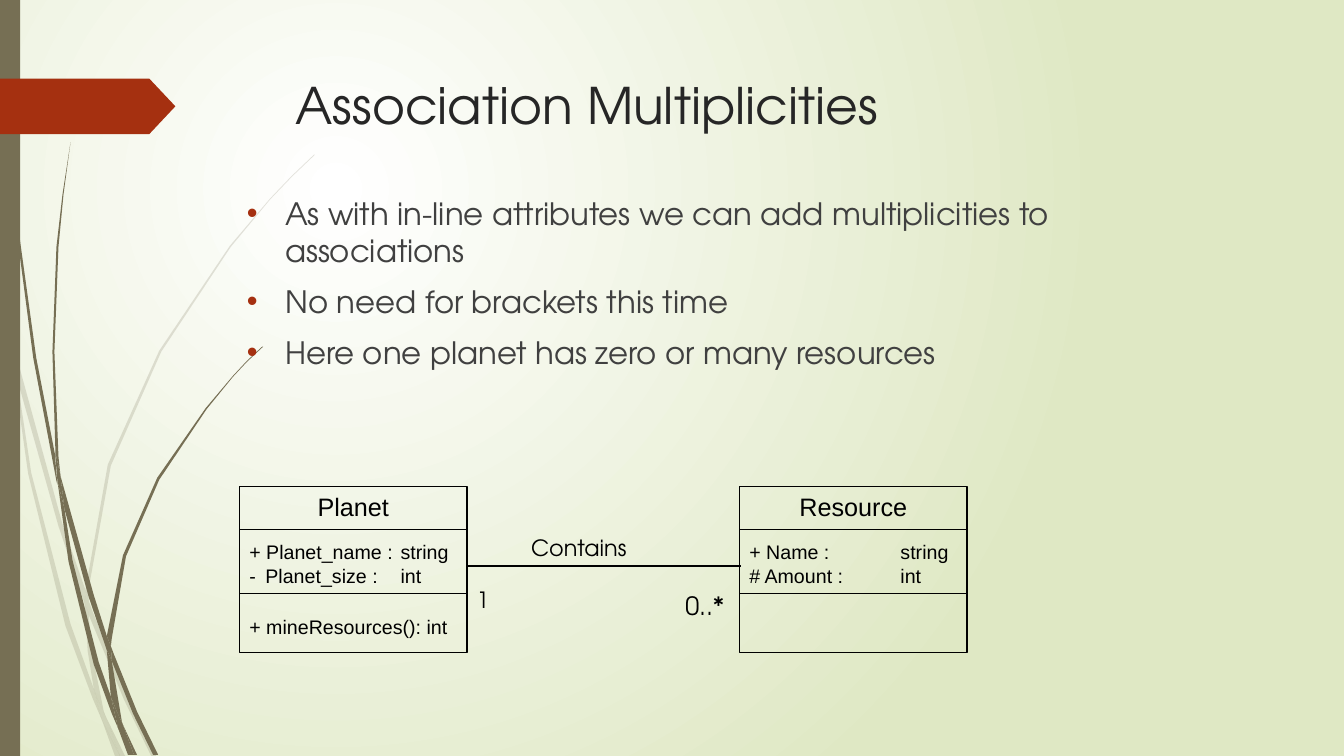
import dataclasses

import pptx
import pptx.dml.color
import pptx.enum.shapes
import pptx.enum.text
import pptx.oxml
import pptx.oxml.ns
import pptx.util

COLS, ROWS = 133.33, 75  # grid of square cells, a tenth of an inch each
SANS, GEO = "Arial", "TeX Gyre Adventor"
OLIVE, RUST, BLACK = "766F54", "A53010", "000000"
KIND = pptx.enum.shapes.MSO_SHAPE
LEFT = pptx.enum.text.PP_ALIGN.LEFT
MID = pptx.enum.text.PP_ALIGN.CENTER
NS = pptx.oxml.ns.nsdecls("a")


@dataclasses.dataclass
class Box:
    """An area in grid columns and rows."""
    x: float
    y: float
    w: float
    h: float


@dataclasses.dataclass
class Entity:
    """A class in the diagram; span is the width of its name."""
    name: str
    x: float
    span: float
    fields: list[str]
    methods: list[str]


@dataclasses.dataclass
class Label:
    text: str
    box: Box
    size: int


# Pieces of grass, each a closed outline of column, row, column, row ...
FAINT = [
    (1.1, 35, .9, 32.2, 0, 28.2, 0, 29.9, 1, 34.4),
    (5.8, 52.2, 8.4, 59.9, 8.5, 58.6, 6.2, 52, 1.4, 34.5, 1.7, 37.6),
    (9.2, 60.7, 8.8, 59.6, 8.8, 61, 12.3, 69.4, 15, 75, 15.5, 75, 12.7, 69.2),
    (11.9, 75, 12.4, 75, 10.5, 71.1),
    (9.3, 68.3, 7, 61.9, 3.1, 46.9, 1.7, 37.6, 1.1, 35, 2.8, 47, 6.5, 62.1, 9.2, 69.3,
     10.1, 71.4, 9.9, 70.7),
    (8.4, 59.9, 8.7, 64.6, 9.3, 68.3, 9.6, 69.2, 10.5, 71.1, 10.3, 70.6, 9.1, 64.6,
     8.8, 61, 8.8, 60.8),
    (8.8, 58.4, 11, 46.2, 16, 34.9, 22.9, 24.5, 26.8, 19.8, 29, 17.5, 31.2, 15.4, 31.2, 15.3,
     28.9, 17.5, 26.8, 19.7, 22.8, 24.4, 15.8, 34.8, 10.7, 46.1, 8.5, 58.4, 8.5, 58.6, 8.8, 59.6),
    (10.1, 71.4, 11.4, 75, 11.9, 75),
    (8.8, 60.8, 8.8, 61, 8.8, 59.6, 8.5, 58.6, 8.4, 59.9),
    (9.6, 69.2, 9.3, 68.3, 9.9, 70.7, 10.1, 71.4, 11.9, 75, 10.5, 71.1),
]
SOLID = [
    (.7, 11, 1.7, 23.3, 3.3, 35.5, 5.6, 47.7, 5.7, 48.1, 5.5, 45.7, 5.5, 45.3, 3.6, 35.5,
     1.9, 23.2, .8, 10.9, .5, 4.8, .4, 0, .3, 0, .4, 4.8),
    (8.8, 59.2, 10.6, 64.5, 10.6, 63.1, 9.3, 59, 6, 47.2, 6.4, 50.5),
    (11.3, 64.9, 11, 64.1, 11.1, 65.6, 13.2, 70.8, 15.2, 74.9, 15.7, 74.9, 13.6, 70.6),
    (11, 69.1, 9.8, 65.7, 7.2, 55.6, 6.4, 50.5, 5.7, 47.7, 6.8, 55.7, 9.3, 65.9, 11.1, 70.8,
     11.7, 72.2, 11.6, 71.7),
    (6, 47.2, 5.8, 45.3, 5.4, 34.9, 5.8, 24.5, 6.3, 19.3, 7, 14.1, 6.2, 19.3, 5.6, 24.5,
     5.2, 34.9, 5.5, 44.9),
    (13.3, 74.9, 13.6, 74.9, 12.2, 71.9),
    (5.7, 47.7, 6.4, 50.5, 6, 47.2, 5.5, 44.9, 5.5, 45.3),
    (11.1, 63.3, 12.5, 55.2, 15.8, 47.6, 20.5, 40.6, 23.1, 37.4, 24.5, 35.9, 26.1, 34.4,
     26, 34.4, 24.5, 35.8, 23.1, 37.3, 20.4, 40.5, 15.6, 47.4, 12.2, 55.1, 10.6, 63.1, 11, 64.1),
    (11.7, 72.2, 12.7, 74.9, 13.1, 74.9),
    (10.6, 64.5, 11, 69.1, 11.6, 70.6, 12.2, 71.9, 12.1, 71.6, 11.1, 65.6, 10.9, 65.1),
    (10.6, 64.5, 10.9, 65.1, 11.1, 65.6, 11, 64.1, 10.6, 63.1, 10.6, 63.3),
    (11.6, 70.6, 11, 69.1, 11.6, 71.7, 11.7, 72.2, 13, 74.9, 13.3, 74.9, 12.2, 71.9),
]
POINTS = [
    "As with in-line attributes we can add multiplicities to associations",
    "No need for brackets this time",
    "Here one planet has zero or many resources",
]
ENTITIES = [
    Entity("Planet", 23.75, 9.2, ["+ Planet_name :\tstring", "-\tPlanet_size :\tint"],
           ["+ mineResources(): int"]),
    Entity("Resource", 73.35, 12.8, ["+ Name :\t \tstring", "# Amount :\t\tint"], []),
]
LABELS = [
    Label("Contains", Box(51.7, 52.5, 13.8, 3.7), 16),
    Label("1", Box(46.3, 57.7, 3.2, 3.7), 16),
    Label("0..*", Box(67, 58.1, 6.5, 4), 18),
]


def cells(count: float) -> int:
    return pptx.util.Inches(count / 10)


def area(box: Box) -> tuple[int, ...]:
    return tuple(cells(side) for side in dataclasses.astuple(box))


def hue(code: str) -> pptx.dml.color.RGBColor:
    return pptx.dml.color.RGBColor.from_string(code)


def paint(shape, code: str, alpha: int = 100) -> None:
    """Flat fill without outline or shadow."""
    shape.shadow.inherit = False
    shape.fill.solid()
    shape.fill.fore_color.rgb = hue(code)
    shape.line.fill.background()
    if alpha < 100:
        tone = next(shape.element.spPr.iter(pptx.oxml.ns.qn("a:srgbClr")))
        tone.append(pptx.oxml.parse_xml(f'<a:alpha {NS} val="{alpha * 1000}"/>'))


def write(slide, box: Box, lines: list[str], *, size: int, font: str = GEO, color: str = BLACK,
          align=LEFT, bullet: str = "", gap: float = 0, tabs: tuple[float, ...] = (),
          wrap: bool = True) -> None:
    frame = slide.shapes.add_textbox(*area(box)).text_frame
    frame.word_wrap = wrap
    for nth, line in enumerate(lines):
        para = frame.add_paragraph() if nth else frame.paragraphs[0]
        para.text = line
        para.alignment = align
        if nth and gap:
            para.space_before = pptx.util.Pt(gap)
        props = para._p.get_or_add_pPr()
        if bullet:
            props.set("marL", str(cells(3.8)))
            props.set("indent", str(-cells(3.8)))
            for part in (f'<a:buClr {NS}><a:srgbClr val="{RUST}"/></a:buClr>',
                         f'<a:buFont {NS} typeface="{SANS}"/>',
                         f'<a:buChar {NS} char="{bullet}"/>'):
                props.append(pptx.oxml.parse_xml(part))
        if tabs:
            stops = "".join(f'<a:tab pos="{cells(tab)}" algn="l"/>' for tab in tabs)
            props.append(pptx.oxml.parse_xml(f"<a:tabLst {NS}>{stops}</a:tabLst>"))
        for run in para.runs:
            run.font.size = pptx.util.Pt(size)
            run.font.name = font
            run.font.color.rgb = hue(color)


def rule(slide, left: float, right: float, row: float, width: float) -> None:
    line = slide.shapes.add_connector(pptx.enum.shapes.MSO_CONNECTOR.STRAIGHT, cells(left),
                                      cells(row), cells(right), cells(row))
    line.line.color.rgb = hue(BLACK)
    line.line.width = pptx.util.Pt(width)
    line._element.spPr.append(pptx.oxml.parse_xml(f"<a:effectLst {NS}/>"))


def grow(slide, piece: tuple[float, ...], alpha: int) -> None:
    edge = [(cells(x), cells(y)) for x, y in zip(piece[::2], piece[1::2])]
    pen = slide.shapes.build_freeform(*edge[0])
    pen.add_line_segments(edge[1:], close=True)
    paint(pen.convert_to_shape(), OLIVE, alpha)


def model(slide, item: Entity) -> None:
    top, wide = 48.25, 22.6
    frame = slide.shapes.add_shape(KIND.RECTANGLE, *area(Box(item.x, top, wide, 16.5)))
    frame.shadow.inherit = False
    frame.fill.background()
    frame.line.color.rgb = hue(BLACK)
    frame.line.width = pptx.util.Pt(1)
    for row in (52.55, 58.9):
        rule(slide, item.x, item.x + wide, row, .75)
    write(slide, Box(item.x + (wide - item.span) / 2, top, item.span, 4), [item.name],
          size=18, font=SANS, align=MID, wrap=False)
    write(slide, Box(item.x, 53.1, 22, 8), item.fields, size=14, font=SANS, tabs=(1.6, 10, 15))
    if item.methods:
        write(slide, Box(item.x, 60.5, 21.8, 3.4), item.methods, size=14, font=SANS)


def backdrop(slide) -> None:
    fill = slide.background.fill
    fill.gradient()
    for stop, code in zip(fill.gradient_stops, ("FFFFFF", "DFE8C4")):
        stop.color.rgb = hue(code)
    grad = next(slide.element.iter(pptx.oxml.ns.qn("a:gradFill")))
    grad.replace(grad.find(pptx.oxml.ns.qn("a:lin")), pptx.oxml.parse_xml(
        f'<a:path {NS} path="circle">'
        '<a:fillToRect l="50000" t="50000" r="100000" b="100000"/></a:path>'))
    for pieces, alpha in ((FAINT, 20), (SOLID, 100)):
        for piece in pieces:
            grow(slide, piece, alpha)
    paint(slide.shapes.add_shape(KIND.RECTANGLE, *area(Box(0, 0, 2, ROWS))), OLIVE)
    arrow = slide.shapes.add_shape(KIND.PENTAGON, *area(Box(0, 7.8, 17.4, 5.5)))
    arrow.adjustments[0] = .47
    paint(arrow, RUST)


def main() -> None:
    deck = pptx.Presentation()
    deck.slide_width, deck.slide_height = cells(COLS), cells(ROWS)
    slide = deck.slides.add_slide(deck.slide_layouts[6])
    backdrop(slide)
    write(slide, Box(28.35, 6.85, 97.5, 14), ["Association Multiplicities"], size=36, color="262626")
    write(slide, Box(23.5, 18.8, 97.5, 41.3), POINTS, size=22, color="404040", bullet="•", gap=10)
    for item in ENTITIES:
        model(slide, item)
    for label in LABELS:
        write(slide, label.box, [label.text], size=label.size)
    rule(slide, 46.3, 73.5, 56.15, 1.75)
    deck.save("out.pptx")


if __name__ == "__main__":
    main()
